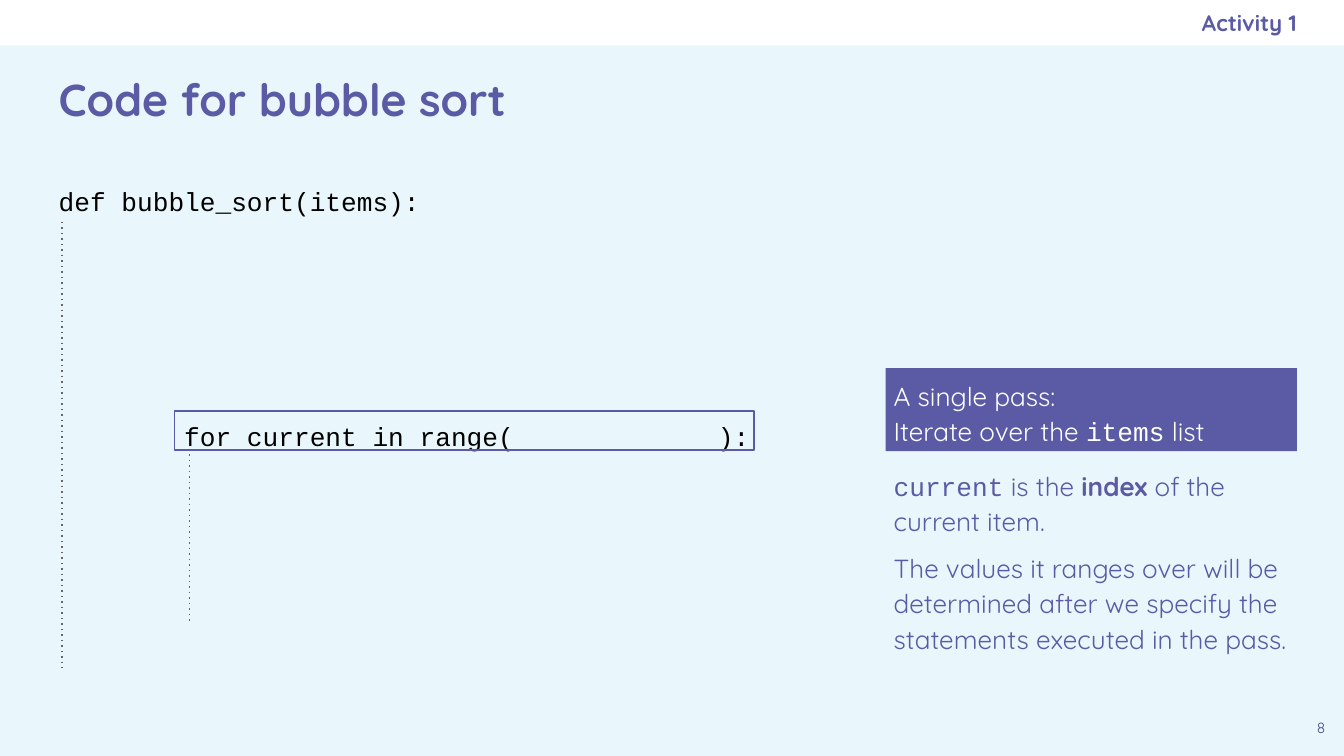
import dataclasses

import lxml.etree
import pptx
import pptx.dml.color
import pptx.enum.shapes
import pptx.enum.text
import pptx.oxml.ns
import pptx.util

Cm = pptx.util.Cm
Pt = pptx.util.Pt
Align = pptx.enum.text.PP_ALIGN
Anchor = pptx.enum.text.MSO_ANCHOR


@dataclasses.dataclass(frozen=True)
class Theme:
    background: str = "E9F7FC"
    white: str = "FFFFFF"
    accent: str = "5B5BA5"
    page: str = "494985"
    code: str = "000000"
    guide: str = "666666"
    sans: str = "Quicksand"
    mono: str = "Courier New"
    title_size: int = 24
    body_size: int = 14
    label_size: int = 12
    page_size: int = 8
    line_width: float = 0.75
    inset: float = 0.25
    note_inset: float = 0.15
    note_spacing: float = 1.13


def rgb(value):
    return pptx.dml.color.RGBColor.from_string(value)


def set_format(target, values):
    for name, value in values.items():
        setattr(target, name, value)


class SlideBuilder:
    def __init__(self, theme, slide):
        self.theme = theme
        self.slide = slide
        slide.background.fill.solid()
        slide.background.fill.fore_color.rgb = rgb(theme.background)

    def box(self, left, top, width, height, fill=None, outline=None):
        rectangle = self.slide.shapes.add_shape(
            pptx.enum.shapes.MSO_SHAPE.RECTANGLE,
            Cm(left), Cm(top), Cm(width), Cm(height))
        rectangle.shadow.inherit = False
        if fill:
            rectangle.fill.solid()
            rectangle.fill.fore_color.rgb = rgb(fill)
        else:
            rectangle.fill.background()
        if outline:
            rectangle.line.color.rgb = rgb(outline)
            rectangle.line.width = Pt(self.theme.line_width)
        else:
            rectangle.line.fill.background()
        return rectangle

    def fill_text(self, holder, paragraphs, color, size, inset, right=None,
                  anchor=Anchor.TOP, **layout):
        frame = holder.text_frame
        margin = Cm(inset)
        set_format(frame, {
            "word_wrap": True,
            "vertical_anchor": anchor,
            "margin_left": margin,
            "margin_top": margin,
            "margin_bottom": margin,
            "margin_right": margin if right is None else Cm(right),
        })
        for index, (before, runs) in enumerate(paragraphs):
            paragraph = frame.add_paragraph() if index else frame.paragraphs[0]
            set_format(paragraph, {"alignment": Align.LEFT,
                                   "space_before": Pt(before), **layout})
            for words, face, bold in runs:
                run = paragraph.add_run()
                run.text = words
                set_format(run.font,
                           {"name": face, "size": Pt(size), "bold": bold})
                run.font.color.rgb = rgb(color)

    def text(self, left, top, width, height, paragraphs, **style):
        holder = self.slide.shapes.add_textbox(
            Cm(left), Cm(top), Cm(width), Cm(height))
        self.fill_text(holder, paragraphs, **style)

    def indent_guide(self, x, top, bottom):
        guide = self.slide.shapes.add_connector(
            pptx.enum.shapes.MSO_CONNECTOR.STRAIGHT,
            Cm(x), Cm(top), Cm(x), Cm(bottom))
        guide.line.color.rgb = rgb(self.theme.guide)
        guide.line.width = Pt(self.theme.line_width)
        qn = pptx.oxml.ns.qn
        properties = guide._element.spPr
        lxml.etree.SubElement(
            properties.find(qn("a:ln")), qn("a:prstDash"), val="dot")
        lxml.etree.SubElement(properties, qn("a:effectLst"))


def main():
    theme = Theme()
    deck = pptx.Presentation()
    deck.slide_width, deck.slide_height = Cm(25.4), Cm(14.29)
    builder = SlideBuilder(theme, deck.slides.add_slide(deck.slide_layouts[6]))

    builder.box(0, 0, 25.4, 0.86, fill=theme.white)
    builder.text(
        0.86, 3.25, 15.42, 10.16,
        [(0, [("def bubble_sort(items):", theme.mono, False)]),
         (109.5, [("        for current in range(             ):",
                   theme.mono, False)])],
        color=theme.code, size=theme.body_size, inset=theme.inset)
    builder.text(
        0.86, 0.89, 23.67, 1.93,
        [(0, [("Code for bubble sort", theme.sans, True)])],
        color=theme.accent, size=theme.title_size, inset=theme.inset,
        anchor=Anchor.MIDDLE)
    builder.text(
        24.54, 13.41, 0.86, 0.86, [(0, [("8", theme.sans, False)])],
        color=theme.page, size=theme.page_size, inset=theme.inset,
        alignment=Align.CENTER)
    builder.text(
        14.6, 0, 9.91, 0.86, [(0, [("Activity 1", theme.sans, True)])],
        color=theme.accent, size=theme.label_size, inset=theme.inset, right=0,
        anchor=Anchor.MIDDLE, alignment=Align.RIGHT)

    for x, top, bottom in ((1.17, 4.19, 12.62), (3.58, 8.48, 11.76)):
        builder.indent_guide(x, top, bottom)
    builder.box(3.3, 7.77, 10.95, 0.74, outline=theme.accent)

    note_left, note_width = 16.74, 7.77
    note_style = {"size": theme.body_size, "inset": theme.note_inset,
                  "line_spacing": theme.note_spacing}
    single_pass = builder.box(note_left, 6.96, note_width, 1.57,
                              fill=theme.accent)
    builder.fill_text(
        single_pass,
        [(0, [("A single pass:", theme.sans, False)]),
         (0, [("Iterate over the ", theme.sans, False),
              ("items", theme.mono, False),
              (" list", theme.sans, False)])],
        color=theme.white, **note_style)
    builder.text(
        note_left, 8.66, note_width, 3.73,
        [(0, [("current", theme.mono, False),
              (" is the ", theme.sans, False),
              ("index", theme.sans, True),
              (" of the current item.", theme.sans, False)]),
         (6, [("The values it ranges over will be determined after we "
               "specify the statements executed in the pass.",
               theme.sans, False)])],
        color=theme.accent, right=0, **note_style)

    deck.save("out.pptx")


if __name__ == "__main__":
    main()
